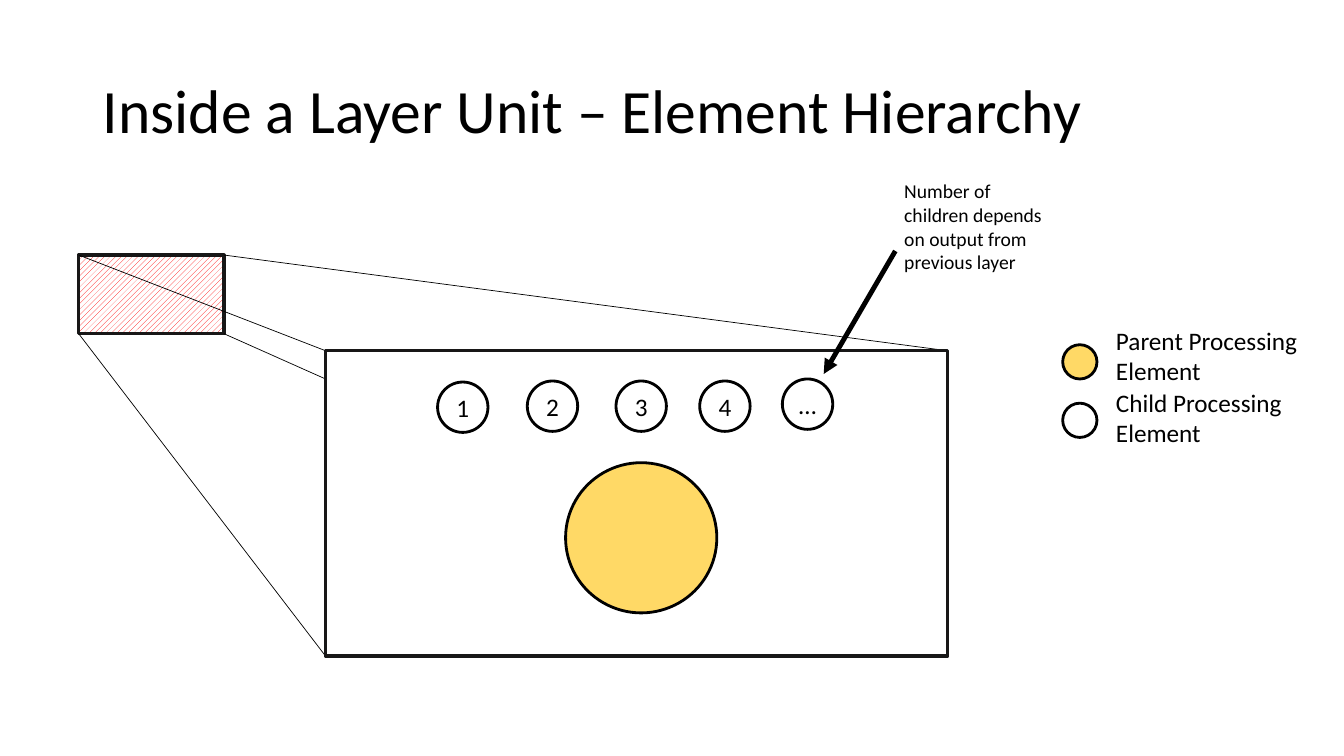
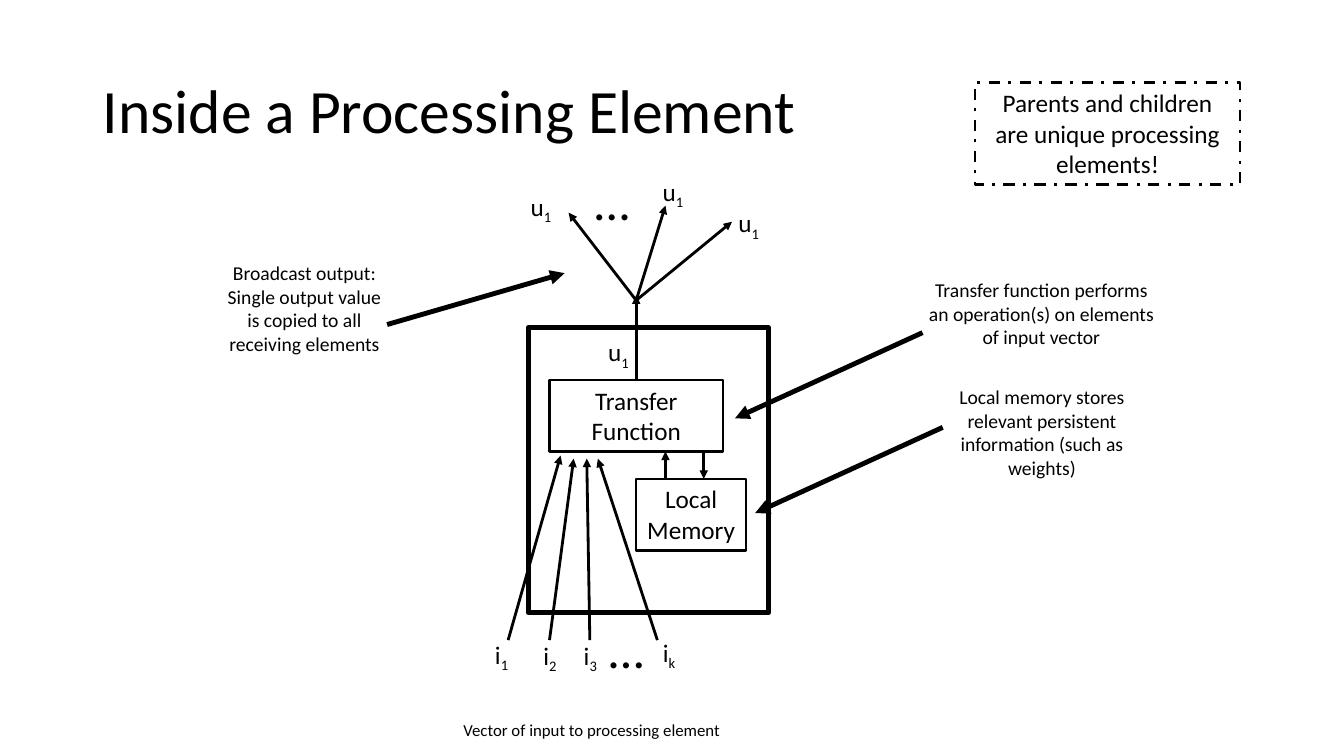
from dataclasses import dataclass

from lxml.etree import SubElement
from pptx import Presentation
from pptx.dml.color import RGBColor
from pptx.enum.dml import MSO_LINE, MSO_PATTERN
from pptx.enum.shapes import MSO_CONNECTOR, MSO_SHAPE
from pptx.enum.text import MSO_ANCHOR, MSO_AUTO_SIZE, PP_ALIGN
from pptx.oxml.ns import qn
from pptx.util import Inches, Pt


@dataclass(frozen=True)
class Theme:
    font: str = "Calibri"
    ink: str = "000000"
    frame: str = "181717"
    paper: str = "FFFFFF"
    parent: str = "FFD966"
    hatch: str = "FF0000"
    title: int = 44
    dots: int = 36
    body: int = 18
    note: int = 14
    caption: int = 12
    hairline: float = 0.5
    box: float = 1.75
    outline: float = 2
    border: float = 2.5
    pointer: float = 3.5
    element: float = 3.75


THEME = Theme()
SLIDE_SIZE = (13.33, 7.5)
TITLE_BOX = (0.92, 0.4, 11.5, 1.45)

# Layer unit: boxes are left, top, width, height in inches
UNIT = (0.78, 2.53, 1.44, 0.78)
UNIT_DETAIL = (3.23, 3.48, 6.17, 3.03)
PARENT = (5.61, 4.59, 1.5, 1.49)
CHILD_SIZE = 0.5
CHILDREN = [("1", 4.34, 3.79), ("2", 5.23, 3.78), ("3", 6.11, 3.78),
            ("4", 6.94, 3.78), ("…", 7.76, 3.76)]
KEY_LEFT, KEY_DOT = 10.54, 0.34
KEY = [("Parent Processing Element", THEME.parent, 3.42, (10.97, 3.18, 2.01, 0.71)),
       ("Child Processing Element", THEME.paper, 4, (10.97, 3.79, 1.91, 0.71))]
CHILD_NOTE = ("Number of children depends on output from previous layer",
              (8.87, 1.73, 1.74, 0.81), (8.88, 2.49), (8.17, 3.71))

# Processing element
ELEMENT = (5.24, 3.25, 2.38, 2.83)
TRANSFER = ("Transfer Function", (5.45, 3.77, 1.72, 0.71))
MEMORY = ("Local Memory", (6.31, 4.75, 1.09, 0.71))
OUTPUT_TIP = (6.31, 2.93)
FAN_START = (6.31, 2.98)
FAN_TIPS = [(5.64, 2.11), (6.6, 2.04), (7.26, 2.2)]
INPUT_Y = 6.35
INPUTS = [(5.04, (5.56, 4.52)), (5.45, (5.69, 4.55)),
          (5.85, (5.82, 4.55)), (6.52, (5.93, 4.55))]
READ_X, WRITE_X = 6.6, 6.98
LABEL_HEIGHT = 0.4
LABEL_WIDTH = {"i": 0.37, "u": 0.45}
LABELS = [("i", "1", 4.79, 6.29), ("i", "2", 5.27, 6.3), ("i", "3", 5.67, 6.3),
          ("i", "k", 6.45, 6.27), ("u", "1", 5.14, 1.85), ("u", "1", 6.45, 1.7),
          ("u", "1", 7.2, 2.01), ("u", "1", 5.91, 3.29)]
DOTS = [(5.94, 6.08, 0.37, 0.71), (5.8, 1.64, 0.37, 0.71)]
NOTES = [
    ("Broadcast output: Single output value is copied to all receiving elements",
     (2.15, 2.54, 1.74, 1.04), (3.84, 3.22), (5.6, 2.71)),
    ("Transfer function performs an operation(s) on elements of input vector",
     (9.1, 2.71, 2.46, 0.81), (9.15, 3.3), (7.29, 4.15)),
    ("Local memory stores relevant persistent information (such as weights)",
     (9.27, 3.77, 2.13, 1.04), (9.35, 4.24), (7.49, 5.09)),
]
CAPTION = ("Vector of input to processing element", (4.46, 7.09, 2.82, 0.3))
REMINDER = ("Parents and children are unique processing elements!",
            (9.67, 0.82, 2.63, 1.01))


def inches(values):
    return [Inches(value) for value in values]


def color(code):
    return RGBColor.from_string(code)


def write(shape, text, sub="", size=THEME.body, align=PP_ALIGN.CENTER,
          anchor=MSO_ANCHOR.TOP, side_inset=0.1, line_spacing=None):
    """Fill a shape with text, followed by an optional subscript."""
    frame = shape.text_frame
    frame.auto_size = MSO_AUTO_SIZE.NONE
    frame.word_wrap = True
    frame.vertical_anchor = anchor
    frame.margin_left = frame.margin_right = Inches(side_inset)
    frame.margin_top = frame.margin_bottom = Inches(0.05)
    paragraph = frame.paragraphs[0]
    paragraph.alignment = align
    paragraph.line_spacing = line_spacing
    for part in filter(None, (text, sub)):
        run = paragraph.add_run()
        run.text = part
        run.font.name = THEME.font
        run.font.size = Pt(size)
        run.font.color.rgb = color(THEME.ink)
    if sub:
        run.font._element.set("baseline", "-25000")


def add_text(slide, text, box, **style):
    write(slide.shapes.add_textbox(*inches(box)), text, **style)


def add_outline(slide, box, kind=MSO_SHAPE.RECTANGLE, fill=None,
                line=THEME.ink, width=THEME.outline):
    shape = slide.shapes.add_shape(kind, *inches(box))
    shape.shadow.inherit = False
    if fill:
        shape.fill.solid()
        shape.fill.fore_color.rgb = color(fill)
    else:
        shape.fill.background()
    shape.line.color.rgb = color(line)
    shape.line.width = Pt(width)
    return shape


def add_line(slide, start, end, width=THEME.outline, arrow=True):
    line = slide.shapes.add_connector(MSO_CONNECTOR.STRAIGHT, *inches(start + end))
    line.line.color.rgb = color(THEME.ink)
    line.line.width = Pt(width)
    if arrow:
        SubElement(line.line._get_or_add_ln(), qn("a:tailEnd"), type="triangle")
    SubElement(line._element.spPr, qn("a:effectLst"))
    return line


def add_note(slide, text, box, start, end, align=PP_ALIGN.CENTER):
    """Place a remark and the heavy arrow that leads from it."""
    add_text(slide, text, box, size=THEME.note, align=align)
    add_line(slide, start, end, THEME.pointer)


def add_titled_slide(deck, text):
    slide = deck.slides.add_slide(deck.slide_layouts[5])
    title = slide.shapes.title
    title.left, title.top, title.width, title.height = inches(TITLE_BOX)
    write(title, text, size=THEME.title, align=PP_ALIGN.LEFT,
          anchor=MSO_ANCHOR.MIDDLE, line_spacing=0.9)
    return slide


def corners(box):
    left, top, width, height = box
    return [(x, y) for x in (left, left + width) for y in (top, top + height)]


def build_layer_unit(deck):
    slide = add_titled_slide(deck, "Inside a Layer Unit – Element Hierarchy")
    unit = add_outline(slide, UNIT, line=THEME.frame, width=THEME.border)
    unit.fill.patterned()
    unit.fill.pattern = MSO_PATTERN.WIDE_UPWARD_DIAGONAL
    unit.fill.fore_color.rgb = color(THEME.hatch)
    unit.fill.back_color.rgb = color(THEME.paper)
    for start, end in zip(corners(UNIT), corners(UNIT_DETAIL)):
        add_line(slide, start, end, THEME.hairline, arrow=False)
    add_outline(slide, UNIT_DETAIL, fill=THEME.paper, line=THEME.frame,
                width=THEME.border)

    add_outline(slide, PARENT, MSO_SHAPE.OVAL, THEME.parent)
    for number, left, top in CHILDREN:
        child = add_outline(slide, (left, top, CHILD_SIZE, CHILD_SIZE),
                            MSO_SHAPE.OVAL, THEME.paper)
        write(child, number, anchor=MSO_ANCHOR.MIDDLE, side_inset=0)
    for meaning, fill, top, box in KEY:
        add_outline(slide, (KEY_LEFT, top, KEY_DOT, KEY_DOT), MSO_SHAPE.OVAL, fill)
        add_text(slide, meaning, box, align=PP_ALIGN.LEFT)
    add_note(slide, *CHILD_NOTE, align=PP_ALIGN.LEFT)


def build_processing_element(deck):
    slide = add_titled_slide(deck, "Inside a Processing Element")
    add_outline(slide, ELEMENT, width=THEME.element)
    transfer, memory = (add_outline(slide, box, width=THEME.box)
                        for _, box in (TRANSFER, MEMORY))
    write(transfer, TRANSFER[0])
    write(memory, MEMORY[0])

    _, (left, top, width, height) = TRANSFER
    transfer_bottom, memory_top = top + height, MEMORY[1][1]
    add_line(slide, (READ_X, memory_top), (READ_X, transfer_bottom))
    add_line(slide, (WRITE_X, transfer_bottom), (WRITE_X, memory_top))
    output = add_line(slide, (left + width / 2, top), OUTPUT_TIP)
    output.begin_connect(transfer, 0)
    for tip in FAN_TIPS:
        add_line(slide, FAN_START, tip)
    for x, tip in INPUTS:
        add_line(slide, (x, INPUT_Y), tip)

    for box in DOTS:
        add_text(slide, "…", box, size=THEME.dots, align=PP_ALIGN.LEFT)
    for symbol, index, left, top in LABELS:
        add_text(slide, symbol, (left, top, LABEL_WIDTH[symbol], LABEL_HEIGHT),
                 sub=index, side_inset=0)
    for note in NOTES:
        add_note(slide, *note)
    add_text(slide, *CAPTION, size=THEME.caption)
    reminder = add_outline(slide, REMINDER[1])
    reminder.line.dash_style = MSO_LINE.DASH_DOT
    write(reminder, REMINDER[0])


def main():
    deck = Presentation()
    deck.slide_width, deck.slide_height = inches(SLIDE_SIZE)
    build_layer_unit(deck)
    build_processing_element(deck)
    deck.save("out.pptx")


if __name__ == "__main__":
    main()
